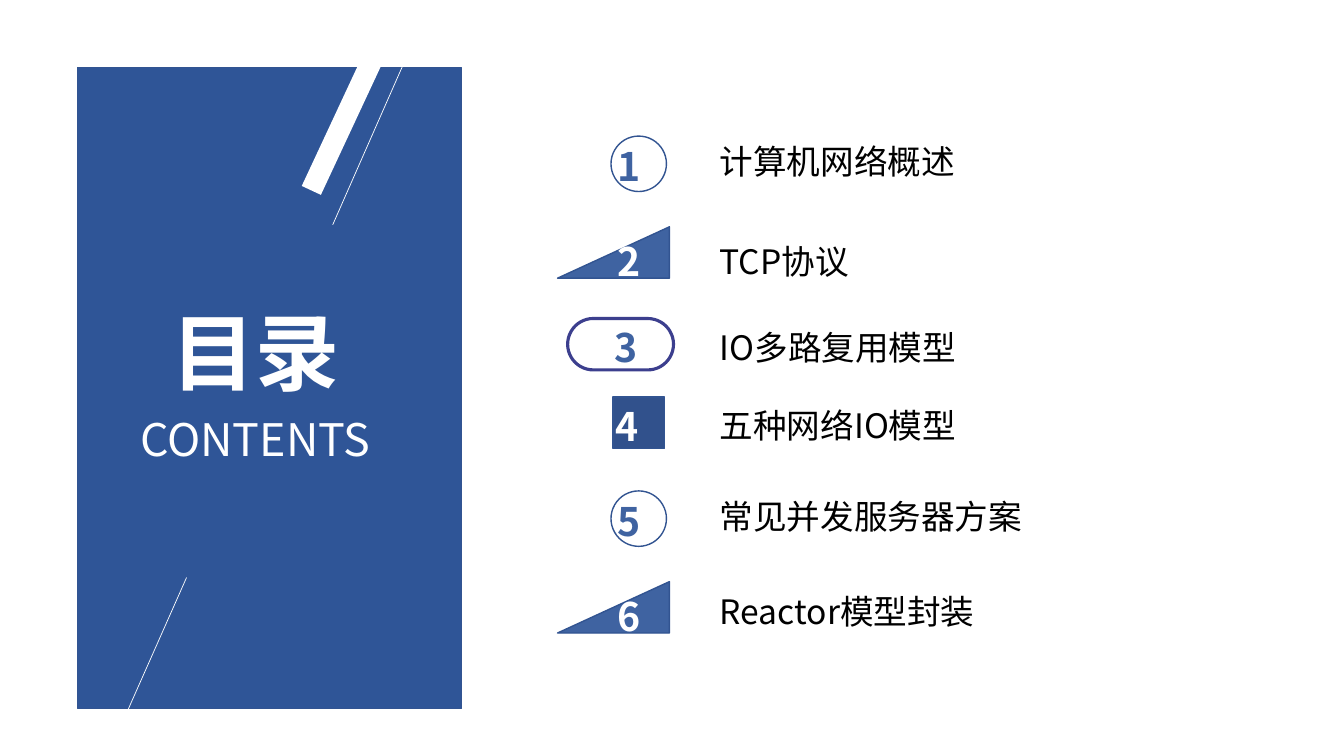
from lxml.etree import SubElement
from pptx import Presentation
from pptx.dml.color import RGBColor
from pptx.enum.shapes import MSO_CONNECTOR, MSO_SHAPE
from pptx.enum.text import MSO_AUTO_SIZE, PP_ALIGN
from pptx.oxml.ns import qn
from pptx.util import Inches, Pt

SANS = "Noto Sans CJK SC"
WHITE = "FFFFFF"
BLACK = "000000"
BLUE = "3F63A1"
OUTLINE = "325491"


def color(hex_string):
    """Turn a hex string into a colour."""
    return RGBColor.from_string(hex_string)


def add_shape(slide, kind, left, top, width, height, fill=None, line=None, line_width=1):
    """Add a preset shape with an optional fill and outline."""
    shape = slide.shapes.add_shape(
        kind, Inches(left), Inches(top), Inches(width), Inches(height))
    shape.shadow.inherit = False
    if fill:
        shape.fill.solid()
        shape.fill.fore_color.rgb = color(fill)
    else:
        shape.fill.background()
    if line:
        shape.line.color.rgb = color(line)
        shape.line.width = Pt(line_width)
    else:
        shape.line.fill.background()
    return shape


def add_text(slide, text, left, top, width, height, size, text_color,
             font_name=SANS, bold=False, align=PP_ALIGN.LEFT):
    """Add a one-line text box."""
    box = slide.shapes.add_textbox(
        Inches(left), Inches(top), Inches(width), Inches(height))
    frame = box.text_frame
    frame.word_wrap = True
    frame.auto_size = MSO_AUTO_SIZE.SHAPE_TO_FIT_TEXT
    frame.text = text
    paragraph = frame.paragraphs[0]
    paragraph.alignment = align
    run = paragraph.runs[0]
    run.font.size = Pt(size)
    run.font.bold = bold
    run.font.color.rgb = color(text_color)
    run.font.name = font_name
    east_asian = SubElement(run._r.get_or_add_rPr(), qn("a:ea"))
    east_asian.set("typeface", SANS)


def add_thin_line(slide, start_left, start_top, end_left, end_top):
    """Add a thin white decorative line."""
    connector = slide.shapes.add_connector(
        MSO_CONNECTOR.STRAIGHT, Inches(start_left), Inches(start_top),
        Inches(end_left), Inches(end_top))
    connector.line.color.rgb = color(WHITE)
    connector.line.width = Pt(0.5)
    SubElement(connector._element.spPr, qn("a:effectLst"))


def add_circle(slide, top):
    """Add an outlined circle marker."""
    add_shape(slide, MSO_SHAPE.OVAL, 6.06, top, 0.55, 0.55, line=OUTLINE)


def add_triangle(slide, top):
    """Add a right triangle marker rising to the right."""
    triangle = add_shape(
        slide, MSO_SHAPE.RIGHT_TRIANGLE, 5.53, top, 1.11, 0.51, BLUE, OUTLINE)
    triangle._element.spPr.xfrm.set("flipH", "1")


def add_pill(slide, top):
    """Add an outlined pill marker."""
    pill = add_shape(slide, MSO_SHAPE.ROUNDED_RECTANGLE, 5.63, top, 1.05, 0.51,
                     line="3C3F8E", line_width=2.25)
    pill.adjustments[0] = 0.5


def add_square(slide, top):
    """Add a filled square marker."""
    add_shape(slide, MSO_SHAPE.RECTANGLE, 6.08, top, 0.51, 0.51, "31518C", OUTLINE)


def add_panel(slide):
    """Add the blue title panel with its decoration."""
    add_shape(slide, MSO_SHAPE.RECTANGLE, 0.77, 0.67, 3.81, 6.36, "2F5597", OUTLINE)
    add_text(slide, "目录", 1.6, 2.93, 2.15, 1.11, 60, WHITE, "Calibri", True,
             PP_ALIGN.JUSTIFY)
    add_text(slide, "CONTENTS", 1.29, 4.04, 2.79, 0.64, 32, WHITE,
             "Noto Sans CJK JP", align=PP_ALIGN.JUSTIFY)
    bar = add_shape(slide, MSO_SHAPE.RECTANGLE, 3.3, 0.46, 0.21, 1.5, WHITE)
    bar.rotation = 25
    add_thin_line(slide, 3.3, 2.23, 4.07, 0.48)
    add_thin_line(slide, 1.08, 7.47, 1.85, 5.73)


def main():
    """Build the contents slide."""
    presentation = Presentation()
    presentation.slide_width = Inches(13.33)
    presentation.slide_height = Inches(7.5)
    slide = presentation.slides.add_slide(presentation.slide_layouts[6])
    add_panel(slide)

    chapters = [
        ("计算机网络概述", 1.35, 3.39, add_circle, 1.35, 6.03, 1.36, BLUE),
        ("TCP协议", 2.34, 4.93, add_triangle, 2.25, 6.03, 2.31, WHITE),
        ("IO多路复用模型", 3.19, 3.39, add_pill, 3.16, 6, 3.16, BLUE),
        ("五种网络IO模型", 3.97, 3.39, add_square, 3.94, 6.01, 3.94, WHITE),
        ("常见并发服务器方案", 4.87, 5.6, add_circle, 4.87, 6.03, 4.88, BLUE),
        ("Reactor模型封装", 5.81, 3.39, add_triangle, 5.77, 6.03, 5.83, WHITE),
    ]
    for number, chapter in enumerate(chapters, start=1):
        (title, title_top, title_width, add_marker, marker_top,
         number_left, number_top, number_color) = chapter
        add_marker(slide, marker_top)
        add_text(slide, str(number), number_left, number_top, 0.61, 0.57, 28,
                 number_color, bold=True, align=PP_ALIGN.JUSTIFY)
        add_text(slide, title, 7.04, title_top, title_width, 0.5, 24, BLACK)

    presentation.save("out.pptx")


if __name__ == "__main__":
    main()
